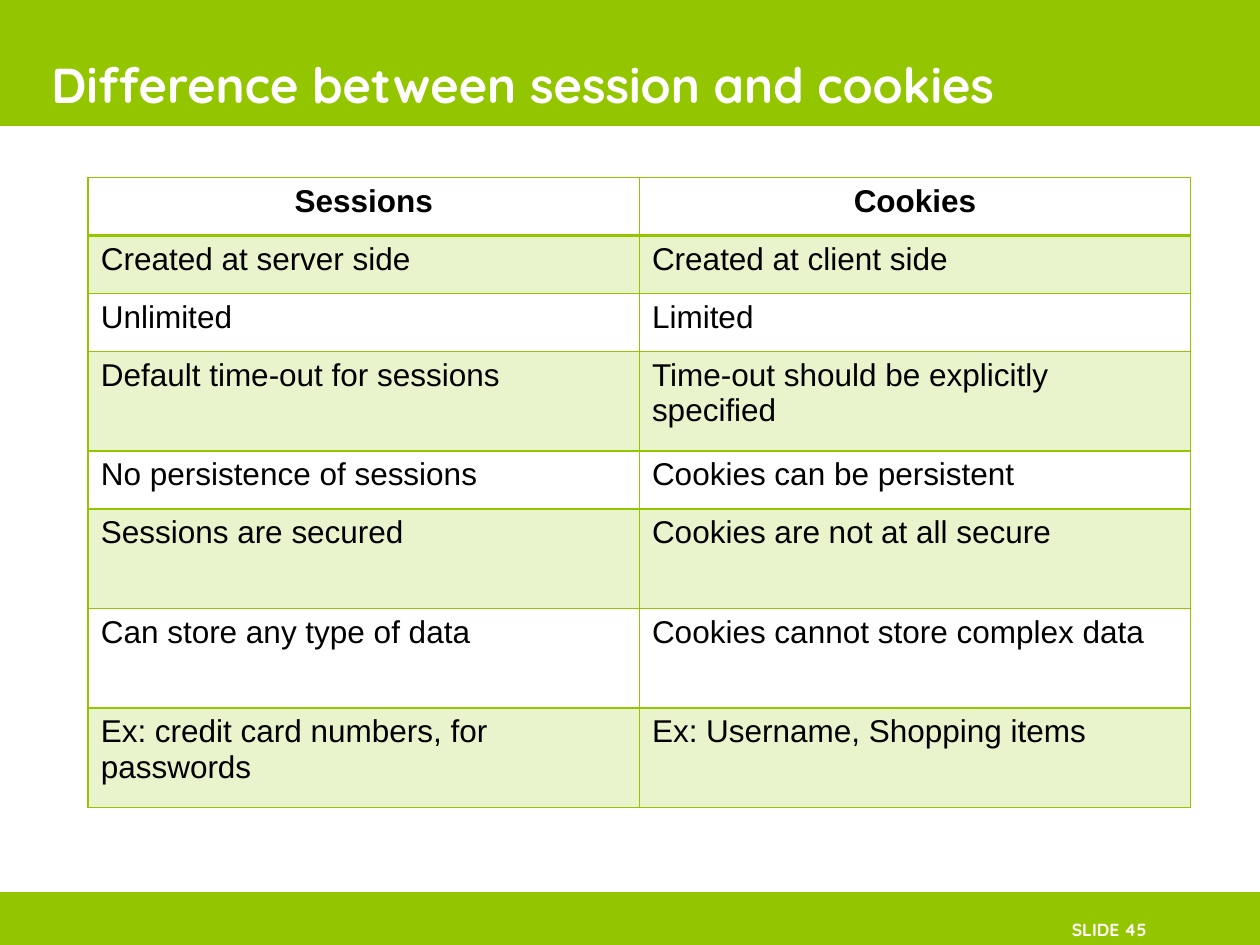
from lxml import etree
from pptx import Presentation
from pptx import util as u
from pptx.dml.color import RGBColor
from pptx.enum import shapes, text
from pptx.oxml.ns import qn

WIDE, HIGH = 10, 7.5
GREEN, WHITE, BLACK = "94C600", "FFFFFF", "000000"
SHORT, TALL = 0.46, 0.79
ROWS = [
    (SHORT, "Sessions", "Cookies"),
    (SHORT, "Created at server side", "Created at client side"),
    (SHORT, "Unlimited", "Limited"),
    (TALL, "Default time-out for sessions",
     "Time-out should be explicitly specified"),
    (SHORT, "No persistence of sessions", "Cookies can be persistent"),
    (TALL, "Sessions are secured", "Cookies are not at all secure"),
    (TALL, "Can store any type of data", "Cookies cannot store complex data"),
    (TALL, "Ex: credit card numbers, for passwords",
     "Ex: Username, Shopping items"),
]


def color(code):
    return RGBColor.from_string(code)


def write(frame, words, size=18, font="Arial", ink=BLACK, bold=False,
          align=text.PP_ALIGN.LEFT):
    frame.word_wrap = True
    para = frame.paragraphs[0]
    para.alignment = align
    run = para.add_run()
    run.text = words
    run.font.size = u.Pt(size)
    run.font.name = font
    run.font.bold = bold
    run.font.color.rgb = color(ink)


def band(slide, box):
    bar = slide.shapes.add_shape(shapes.MSO_SHAPE.RECTANGLE,
                                 *map(u.Inches, box))
    bar.shadow.inherit = False
    bar.fill.solid()
    bar.fill.fore_color.rgb = color(GREEN)
    bar.line.fill.background()


def label(slide, box, words, **form):
    frame = slide.shapes.add_textbox(*map(u.Inches, box)).text_frame
    frame.vertical_anchor = text.MSO_ANCHOR.MIDDLE
    write(frame, words, font="Quicksand", ink=WHITE, bold=True, **form)
    return frame


def header(slide, box):
    left, top, wide, high = box
    band(slide, box)
    label(slide, (left + 0.31, top + 0.17 * high, 0.85 * wide, high),
          "Difference between session and cookies", size=28)


def footer(slide, box):
    left, top, wide, high = box
    band(slide, box)
    frame = label(slide, (left + 0.74 * wide, top + 0.2 * high,
                          0.17 * wide, high),
                  "SLIDE 45", size=10, align=text.PP_ALIGN.RIGHT)
    frame.margin_right = 0


def rule(cell, widths):
    """Draw cell borders; widths maps a side (L, R, T, B) to points."""
    props = cell._tc.get_or_add_tcPr()
    for spot, (side, width) in enumerate(widths.items()):
        line = etree.Element(qn(f"a:ln{side}"), w=str(u.Pt(width)))
        fill = etree.SubElement(line, qn("a:solidFill"))
        etree.SubElement(fill, qn("a:srgbClr"), val=GREEN)
        props.insert(spot, line)


def tint(cell, share):
    cell.fill.solid()
    cell.fill.fore_color.rgb = color(GREEN)
    code = cell._tc.tcPr.find(".//" + qn("a:srgbClr"))
    etree.SubElement(code, qn("a:alpha"), val=str(share * 1000))


def grid(slide, box):
    table = slide.shapes.add_table(len(ROWS), 2, *map(u.Inches, box)).table
    table.first_row = table.horz_banding = False
    for col in table.columns:
        col.width = u.Inches(box[2] / 2)
    for r, (high, *words) in enumerate(ROWS):
        table.rows[r].height = u.Inches(high)
        head = r == 0
        align = text.PP_ALIGN.CENTER if head else text.PP_ALIGN.LEFT
        for c, word in enumerate(words):
            cell = table.cell(r, c)
            write(cell.text_frame, word, bold=head, align=align)
            if r % 2:
                tint(cell, 20)
            else:
                cell.fill.background()
            rule(cell, {"L": 1, "R": 1, "T": 2 if r == 1 else 1,
                        "B": 2 if head else 1})


def main():
    deck = Presentation()
    deck.slide_width, deck.slide_height = u.Inches(WIDE), u.Inches(HIGH)
    slide = deck.slides.add_slide(deck.slide_layouts[6])
    header(slide, (0, 0, WIDE, 1))
    footer(slide, (0, HIGH - 0.42, WIDE, 0.42))
    grid(slide, (0.7, 1.41, 8.75, 5))
    deck.save("out.pptx")


if __name__ == "__main__":
    main()
